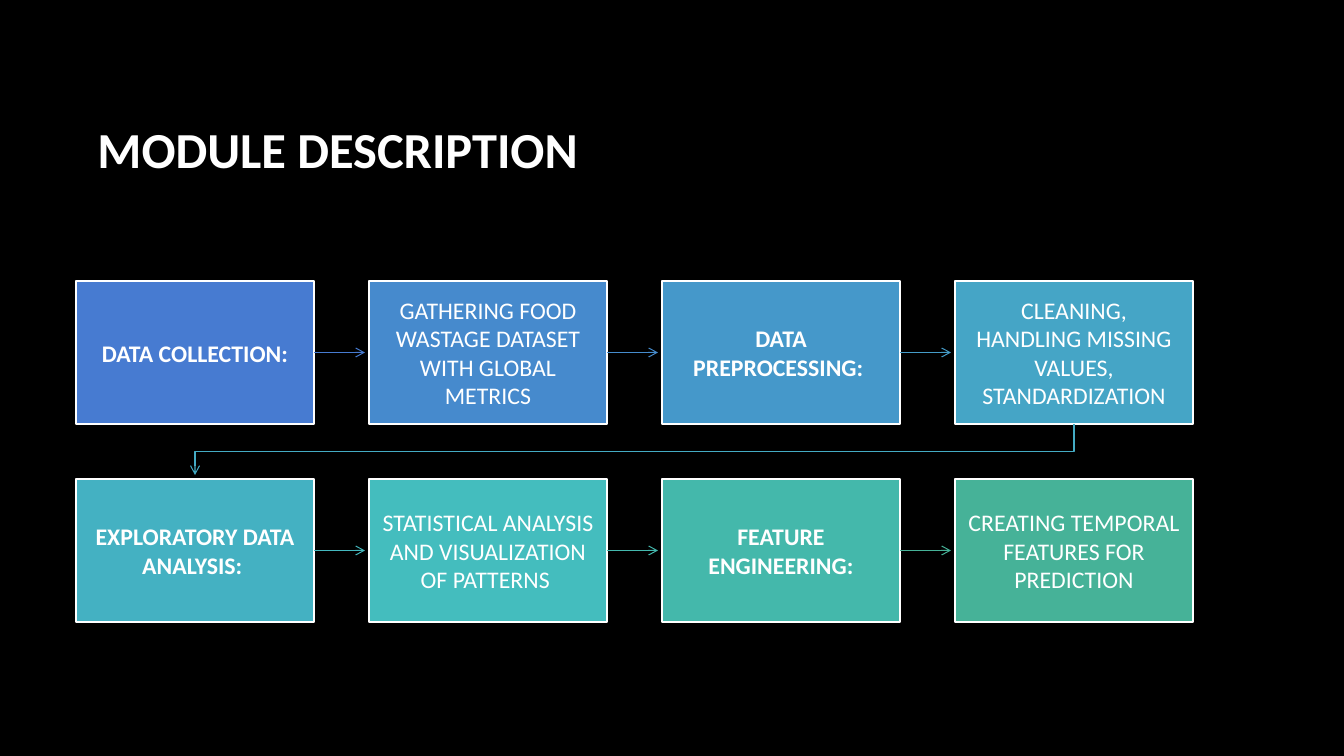
"""Build the module description slide: eight steps in two rows joined by arrows."""
import pptx
import pptx.dml.color
import pptx.enum.shapes
import pptx.enum.text
import pptx.oxml
import pptx.oxml.ns
import pptx.util

PX = 914400 / 100.8
LEFT, TOP, WIDTH, HEIGHT = 76, 281, 238, 143
COLUMN_STEP, ROW_STEP, COLUMNS = 293, 198, 4
ARROW_GAP = 4
INSET = 12
WHITE = "FFFFFF"

STEPS = [
    ("DATA COLLECTION:", "477BD1", "477BD1"),
    ("GATHERING FOOD WASTAGE DATASET WITH GLOBAL METRICS", "468ACD", "468CCD"),
    ("DATA PREPROCESSING: ", "4598CA", "459CC8"),
    ("CLEANING, HANDLING MISSING VALUES, STANDARDIZATION", "45A5C6", "44ABC4"),
    ("EXPLORATORY DATA ANALYSIS: ", "44B1C2", "44B9BF"),
    ("STATISTICAL ANALYSIS AND VISUALIZATION OF PATTERNS ", "44BDBE", "44B9AE"),
    ("FEATURE ENGINEERING:", "44B8AB", "46B298"),
    ("CREATING TEMPORAL FEATURES FOR PREDICTION", "46B298", None),
]


def px(*lengths):
    return [pptx.util.Emu(round(length * PX)) for length in lengths]


def color(target, value):
    if hasattr(target, "solid"):
        target.solid()
        target = target.fore_color
    else:
        target = target.color
    target.rgb = pptx.dml.color.RGBColor.from_string(value)


deck = pptx.Presentation()
deck.slide_width, deck.slide_height = px(1344, 756)
page = deck.slides.add_slide(deck.slide_layouts[5])
color(page.background.fill, "000000")

title = page.shapes.title
title.left, title.top, title.width, title.height = px(76, 68, 1117, 160)
title.text_frame.vertical_anchor = pptx.enum.text.MSO_ANCHOR.MIDDLE
title.text_frame.auto_size = pptx.enum.text.MSO_AUTO_SIZE.NONE
para = title.text_frame.paragraphs[0]
para.alignment = pptx.enum.text.PP_ALIGN.LEFT
for words, bold in ((" ", False), ("MODULE DESCRIPTION", True)):
    span = para.add_run()
    span.text = words
    span.font.name = "Calibri"
    span.font.size = pptx.util.Pt(36)
    span.font.bold = bold
    color(span.font, WHITE)

for index, (words, fill, arrow_color) in enumerate(STEPS):
    row, column = divmod(index, COLUMNS)
    left = LEFT + column * COLUMN_STEP
    top = TOP + row * ROW_STEP
    box = page.shapes.add_shape(
        pptx.enum.shapes.MSO_SHAPE.RECTANGLE, *px(left, top, WIDTH, HEIGHT))
    box.shadow.inherit = False
    color(box.fill, fill)
    color(box.line, WHITE)
    box.line.width = pptx.util.Pt(1.5)

    frame = box.text_frame
    frame.word_wrap = True
    frame.vertical_anchor = pptx.enum.text.MSO_ANCHOR.MIDDLE
    frame.margin_left, frame.margin_top, frame.margin_right, frame.margin_bottom = px(*[INSET] * 4)
    para = frame.paragraphs[0]
    para.alignment = pptx.enum.text.PP_ALIGN.CENTER
    span = para.add_run()
    span.text = words
    span.font.name = "Calibri"
    span.font.size = pptx.util.Pt(17)
    span.font.bold = column % 2 == 0
    color(span.font, WHITE)

    if arrow_color is None:
        continue
    if column < COLUMNS - 1:
        middle = top + HEIGHT / 2
        arrow = page.shapes.add_connector(
            pptx.enum.shapes.MSO_CONNECTOR.STRAIGHT,
            *px(left + WIDTH, middle, left + COLUMN_STEP - ARROW_GAP, middle))
        arrow.begin_connect(box, 3)
        arrow_properties = arrow.element.spPr
        pptx.oxml.ns.qn("a:effectLst")
    else:
        start, end = left + WIDTH / 2, LEFT + WIDTH / 2
        bottom, next_top = top + HEIGHT, top + ROW_STEP
        turn = (bottom + next_top) / 2
        builder = page.shapes.build_freeform(*px(start, bottom))
        builder.add_line_segments(
            [px(start, turn), px(end, turn), px(end, next_top - ARROW_GAP)], close=False)
        arrow = builder.convert_to_shape()
        arrow.fill.background()
        arrow_properties = arrow.element.spPr
    color(arrow.line, arrow_color)
    arrow.line.width = pptx.util.Pt(0.75)
    arrow.line._get_or_add_ln().append(pptx.oxml.parse_xml(
        f'<a:tailEnd {pptx.oxml.ns.nsdecls("a")} type="arrow"/>'))
    arrow_properties.append(pptx.oxml.parse_xml(
        f'<a:effectLst {pptx.oxml.ns.nsdecls("a")}/>'))

deck.save("out.pptx")
